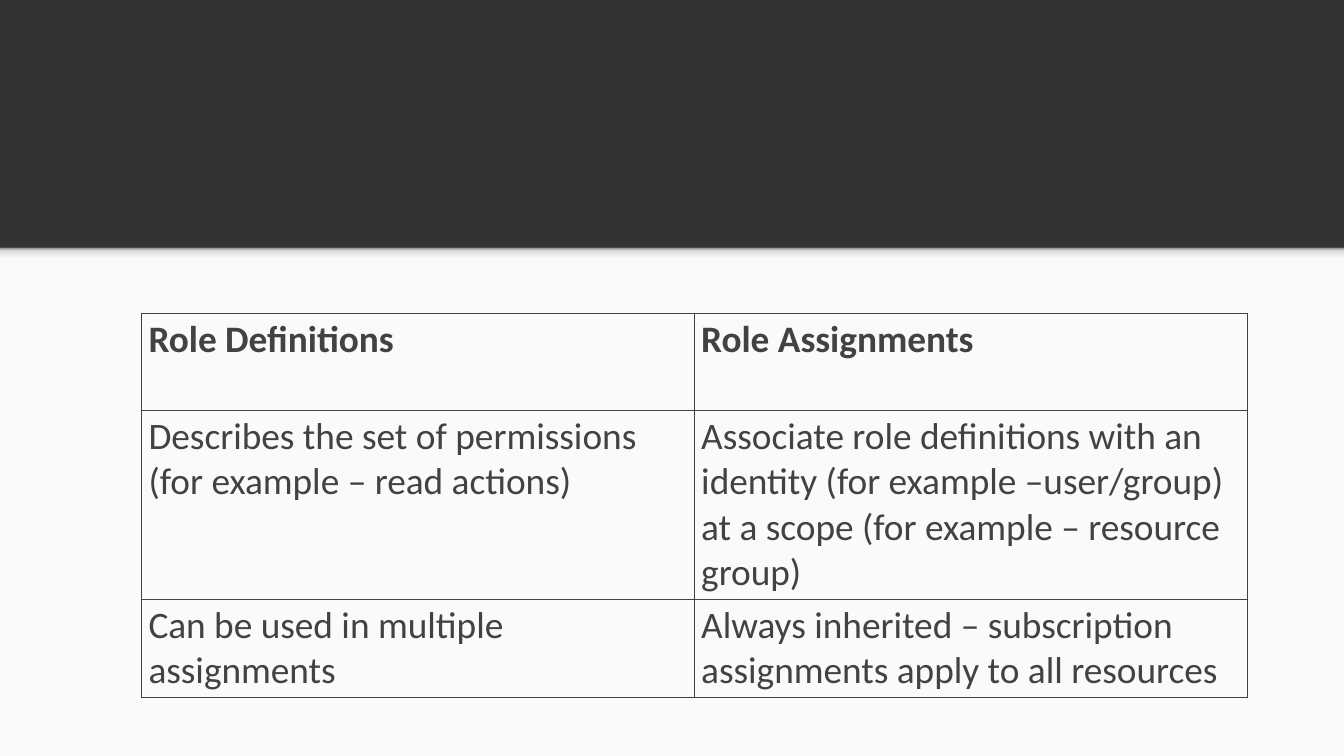
from copy import deepcopy

from lxml.etree import SubElement
from pptx import Presentation
from pptx.dml.color import RGBColor
from pptx.enum.shapes import MSO_SHAPE
from pptx.oxml.ns import qn
from pptx.util import Inches, Pt

INK = "424242"
ROWS = [
    ("Role Definitions", "Role Assignments"),
    ("Describes the set of permissions (for example – read actions)",
     "Associate role definitions with an identity (for example –user/group) "
     "at a scope (for example – resource group)"),
    ("Can be used in multiple assignments",
     "Always inherited – subscription assignments apply to all resources"),
]
ROW_HEIGHTS = [1.45, 2.81, 1.45]
SHADE_STOPS = [(0, "F9F9F9"), (0.36, "F9F9F9"), (0.8, "DEDEDE"), (1, "999999")]


def paint(fill, color):
    fill.solid()
    fill.fore_color.rgb = RGBColor.from_string(color)


def add_band(height):
    """Add a full-width rectangle that starts under the dark header."""
    band = slide.shapes.add_shape(
        MSO_SHAPE.RECTANGLE, 0, Inches(3.69), presentation.slide_width, height)
    band.shadow.inherit = False
    band.line.fill.background()
    return band


presentation = Presentation()
presentation.slide_width = Inches(20)
presentation.slide_height = Inches(11.25)
slide = presentation.slides.add_slide(presentation.slide_layouts[6])
paint(slide.background.fill, "333333")

# Light body and the soft shade along its top edge
body = add_band(presentation.slide_height - Inches(3.69))
paint(body.fill, "FAFAFA")

shade = add_band(Inches(0.24))
shade.fill.gradient()
shade.fill.gradient_angle = 90
stop_list = shade._element.spPr.find(qn("a:gradFill")).find(qn("a:gsLst"))
while len(stop_list) < len(SHADE_STOPS):
    stop_list.append(deepcopy(stop_list[0]))
for stop, (position, color) in zip(shade.fill.gradient_stops, SHADE_STOPS):
    stop.position = position
    stop.color.rgb = RGBColor.from_string(color)

# Comparison table
table = slide.shapes.add_table(
    len(ROWS), 2, Inches(2.11), Inches(4.66),
    Inches(16.45), Inches(sum(ROW_HEIGHTS))).table
table.horz_banding = False

for row_index, (texts, height) in enumerate(zip(ROWS, ROW_HEIGHTS)):
    table.rows[row_index].height = Inches(height)
    for column_index, text in enumerate(texts):
        cell = table.cell(row_index, column_index)
        cell.text = text
        font = cell.text_frame.paragraphs[0].font
        font.name = "Calibri"
        font.size = Pt(40)
        font.bold = row_index == 0
        paint(font.fill, INK)
        properties = cell._tc.get_or_add_tcPr()
        for side in ("lnL", "lnR", "lnT", "lnB"):
            border = SubElement(properties, qn(f"a:{side}"), w=str(Pt(1)))
            border_fill = SubElement(border, qn("a:solidFill"))
            SubElement(border_fill, qn("a:srgbClr"), val=INK)
        cell.fill.background()

presentation.save("out.pptx")
